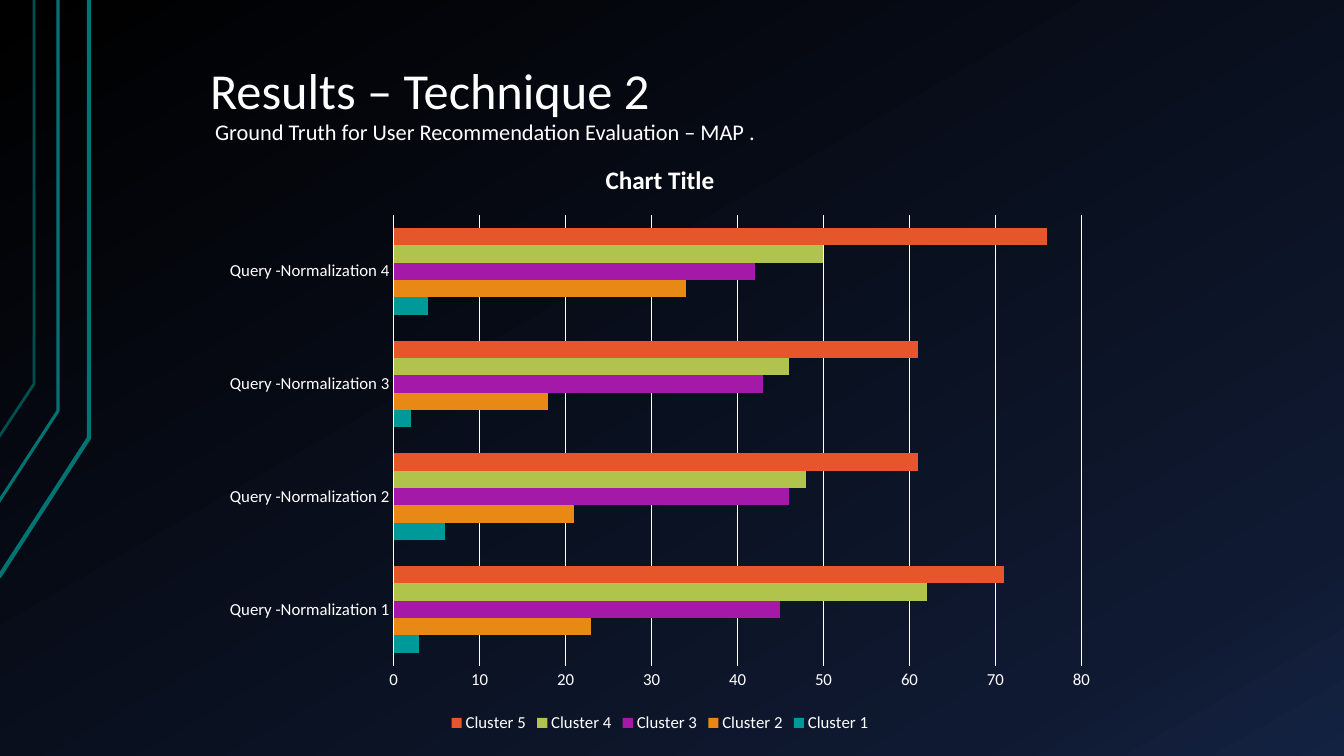
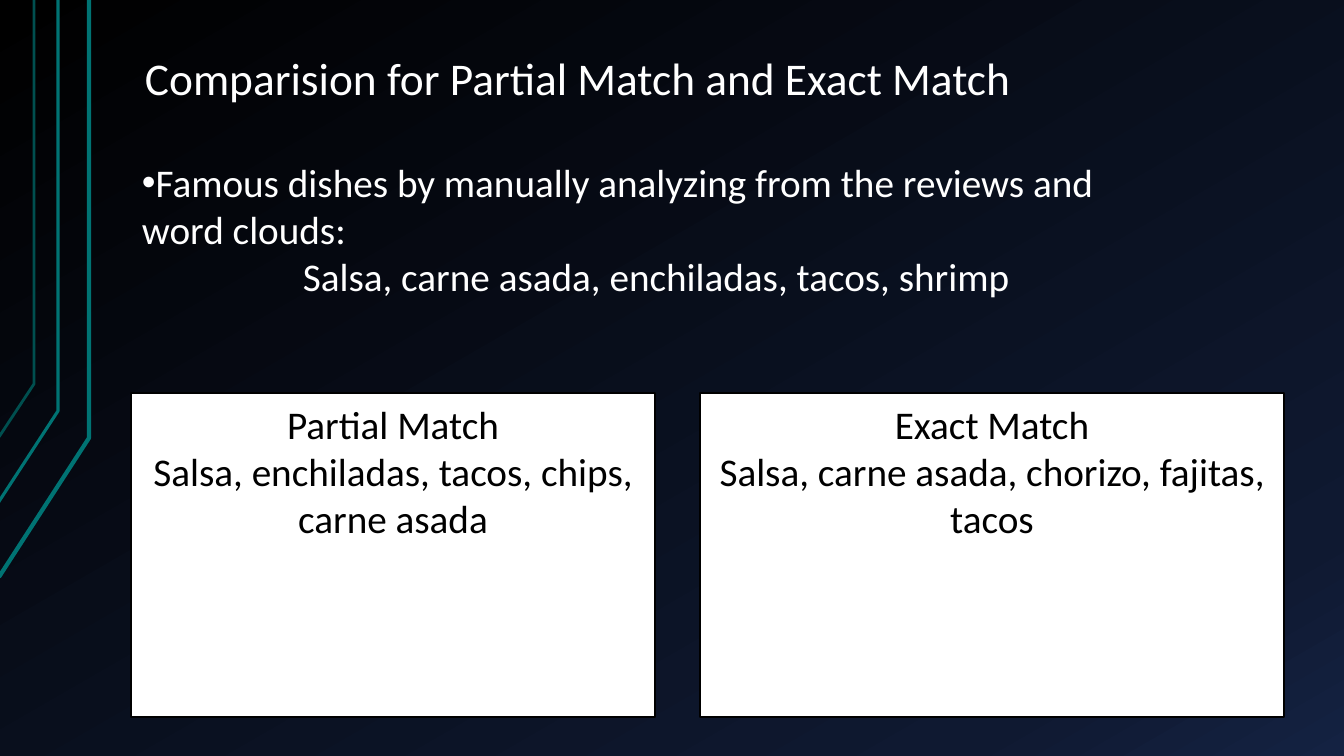
from copy import deepcopy

from lxml.etree import SubElement
from pptx import Presentation
from pptx.chart.data import CategoryChartData
from pptx.dml.color import RGBColor
from pptx.enum.chart import XL_CHART_TYPE, XL_LEGEND_POSITION, XL_TICK_MARK
from pptx.enum.shapes import MSO_SHAPE
from pptx.enum.text import MSO_ANCHOR, PP_ALIGN
from pptx.oxml.ns import qn
from pptx.util import Emu, Pt

FONT = "Calibri"
WHITE = RGBColor(0xFF, 0xFF, 0xFF)
BLACK = RGBColor(0x00, 0x00, 0x00)
NAVY = RGBColor(0x0F, 0x19, 0x31)
BLUE = RGBColor(0x14, 0x22, 0x42)
TEAL = RGBColor(0x00, 0x73, 0x73)
DIM = RGBColor(0x00, 0x4F, 0x4F)

STOPS = [(0, BLACK), (0.85, NAVY), (1, BLUE)]
RAILS = [
    ([(-1, 577), (89, 438), (89, 0)], TEAL, 3),
    ([(-2, 503), (58, 411), (58, 0)], TEAL, 2.25),
    ([(-1, 437), (34, 384), (34, 0)], DIM, 2),
]
QUERIES = [f"Query -Normalization {n}" for n in range(1, 5)]
CLUSTERS = [
    ((3, 6, 2, 4), RGBColor(0x00, 0x99, 0x99)),
    ((23, 21, 18, 34), RGBColor(0xE9, 0x89, 0x15)),
    ((45, 46, 43, 42), RGBColor(0xA4, 0x19, 0xA7)),
    ((62, 48, 46, 50), RGBColor(0xAF, 0xC3, 0x4D)),
    ((71, 61, 61, 76), RGBColor(0xE5, 0x57, 0x2B)),
]


def px(length):
    return Emu(round(length * 914400 / 100.8))


def style(font, size, color=WHITE):
    font.name = FONT
    font.size = Pt(size)
    font.color.rgb = color


def write(para, text, size, color=WHITE):
    run = para.add_run()
    run.text = text
    style(run.font, size, color)


def inset(frame, side, edge):
    frame.word_wrap = True
    frame.margin_left = frame.margin_right = px(side)
    frame.margin_top = frame.margin_bottom = px(edge)


def add_frame(slide, box):
    return slide.shapes.add_textbox(*map(px, box)).text_frame


def add_base(deck):
    slide = deck.slides.add_slide(deck.slide_layouts[6])
    fill = slide.background.fill
    fill.gradient()
    fill.gradient_angle = 300
    stops = next(slide.element.iter(qn("a:gsLst")))
    stops.append(deepcopy(stops[0]))
    for stop, (place, color) in zip(fill.gradient_stops, STOPS):
        stop.position = place
        stop.color.rgb = color
    for points, color, width in RAILS:
        start, *rest = [tuple(map(px, point)) for point in points]
        pen = slide.shapes.build_freeform(*start)
        pen.add_line_segments(rest, close=False)
        rail = pen.convert_to_shape()
        rail.shadow.inherit = False
        rail.fill.background()
        rail.line.color.rgb = color
        rail.line.width = Pt(width)
    return slide


def add_title(slide, box, title, size, note=None):
    frame = add_frame(slide, box)
    inset(frame, 13, 7)
    frame.vertical_anchor = MSO_ANCHOR.BOTTOM
    para = frame.paragraphs[0]
    para.line_spacing = 0.9
    write(para, title, size)
    if note:
        para.add_line_break()
        write(para, note, 16)


def add_bars(slide, box):
    data = CategoryChartData()
    data.categories = QUERIES
    for num, (values, _) in enumerate(CLUSTERS, 1):
        data.add_series(f"Cluster {num}", values)
    chart = slide.shapes.add_chart(
        XL_CHART_TYPE.BAR_CLUSTERED, *map(px, box), data
    ).chart
    style(chart.font, 10)
    chart.has_title = True
    write(chart.chart_title.text_frame.paragraphs[0], "Chart Title", 18)
    chart.chart_title.include_in_layout = False
    chart.has_legend = True
    chart.legend.position = XL_LEGEND_POSITION.BOTTOM
    chart.legend.include_in_layout = False
    style(chart.legend.font, 12)
    for axis in (chart.category_axis, chart.value_axis):
        axis.major_tick_mark = axis.minor_tick_mark = XL_TICK_MARK.NONE
        axis.format.line.fill.background()
        style(axis.tick_labels.font, 12)
    scale = chart.value_axis
    scale.minimum_scale, scale.maximum_scale, scale.major_unit = 0, 80, 10
    scale.has_major_gridlines = True
    grid = scale.major_gridlines.format.line
    grid.color.rgb = WHITE
    grid.width = Pt(0.75)
    plot = chart.plots[0]
    plot.gap_width = 150
    plot.vary_by_categories = False
    for series, (_, color) in zip(plot.series, CLUSTERS):
        series.format.fill.solid()
        series.format.fill.fore_color.rgb = color


def add_dishes(slide, box, lead, dishes):
    frame = add_frame(slide, box)
    inset(frame, 10, 5)
    para = frame.paragraphs[0]
    props = para._p.get_or_add_pPr()
    props.set("marL", "0")
    props.set("indent", "0")
    SubElement(props, qn("a:buFont")).set("typeface", "Arial")
    SubElement(props, qn("a:buChar")).set("char", "•")
    write(para, lead, 28)
    para = frame.add_paragraph()
    para.alignment = PP_ALIGN.CENTER
    write(para, dishes, 28)


def add_card(slide, box, head, dishes):
    card = slide.shapes.add_shape(MSO_SHAPE.RECTANGLE, *map(px, box))
    card.shadow.inherit = False
    card.fill.solid()
    card.fill.fore_color.rgb = WHITE
    card.line.color.rgb = BLACK
    card.line.width = Pt(2)
    frame = card.text_frame
    inset(frame, 13, 7)
    frame.vertical_anchor = MSO_ANCHOR.TOP
    for para, text in zip((frame.paragraphs[0], frame.add_paragraph()), (head, dishes)):
        para.alignment = PP_ALIGN.CENTER
        write(para, text, 28, BLACK)


def add_results(deck):
    slide = add_base(deck)
    add_title(slide, (197, 17, 1142, 135), "Results – Technique 2", 36,
              " Ground Truth for User Recommendation Evaluation – MAP .")
    add_bars(slide, (212, 140, 896, 597))


def add_match(deck):
    slide = add_base(deck)
    add_title(slide, (132, 46, 1145, 66),
              "Comparision for Partial Match and Exact Match", 32.4)
    add_card(slide, (131, 393, 524, 324), "Partial Match",
             "Salsa, enchiladas, tacos, chips, carne asada")
    add_card(slide, (700, 393, 584, 324), "Exact Match",
             "Salsa, carne asada, chorizo, fajitas, tacos")
    add_dishes(slide, (132, 153, 1048, 152),
               "Famous dishes by manually analyzing from the reviews and word clouds:",
               "Salsa, carne asada, enchiladas, tacos, shrimp")


def main():
    deck = Presentation()
    deck.slide_width, deck.slide_height = px(1344), px(756)
    add_results(deck)
    add_match(deck)
    deck.save("out.pptx")


if __name__ == "__main__":
    main()
